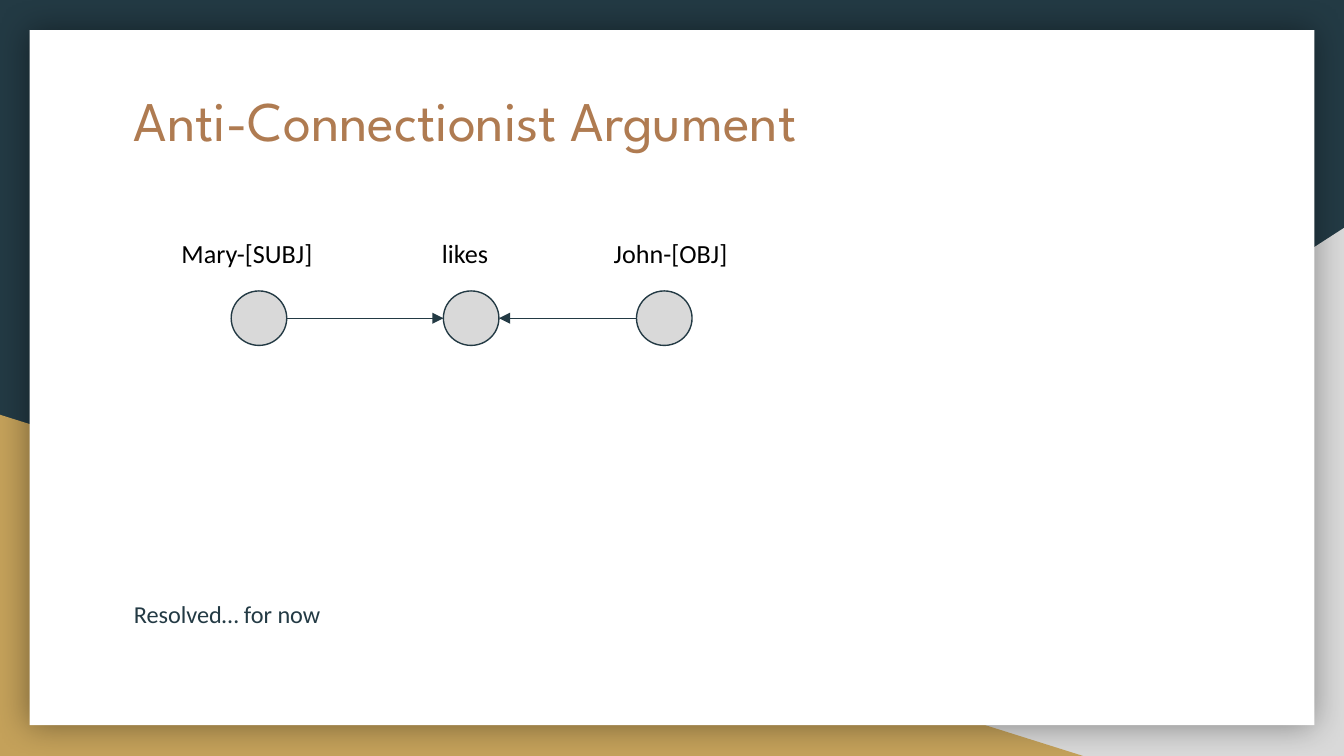
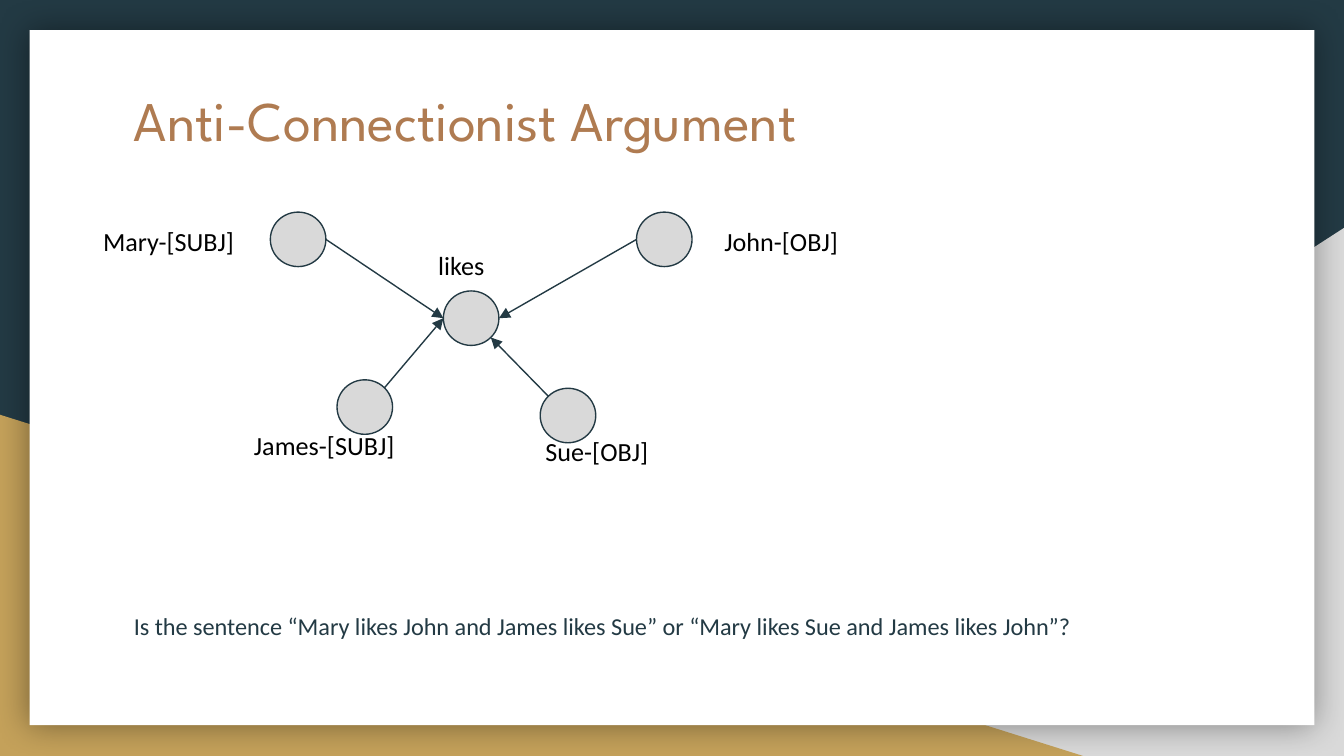
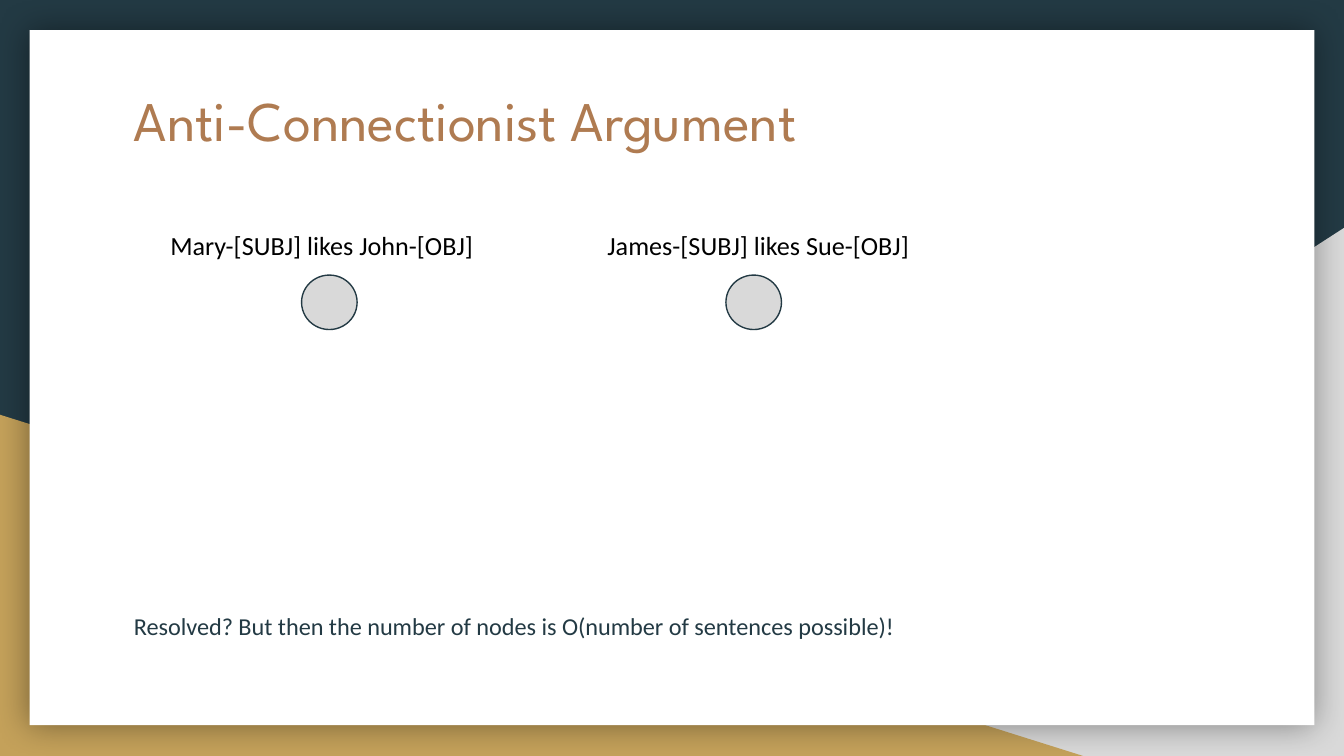
"""Build three slides on the anti-connectionist argument."""
import math

import lxml.etree
import pptx
import pptx.dml.color
import pptx.enum.shapes
import pptx.oxml.ns
import pptx.util

Cm = pptx.util.Cm
Pt = pptx.util.Pt
SHAPE = pptx.enum.shapes.MSO_SHAPE
qn = pptx.oxml.ns.qn

COLORS = {
    "navy": "233A44",
    "gold": "C4A15A",
    "gray": "D9D9D9",
    "white": "FFFFFF",
    "copper": "AF7B51",
    "black": "000000",
}
TITLE = "Anti-Connectionist Argument"
TITLE_FONT, BODY_FONT = "League Spartan", "Calibri"
MARGIN, TEXT_WIDTH = 2.28, 20.85
NODE_WIDTH, NODE_HEIGHT = 1.05, 1.03
LABEL_HEIGHT = 1.02
# Connection sites of an ellipse, counted anticlockwise from the top
TOP_LEFT, LEFT, BOTTOM_RIGHT, RIGHT, TOP_RIGHT = 1, 2, 5, 6, 7


def color(name):
    """Return a named colour as RGB."""
    return pptx.dml.color.RGBColor.from_string(COLORS[name])


def add_filled(page, kind, left, top, width, height, fill):
    """Add a flat preset shape without outline."""
    shape = page.shapes.add_shape(kind, Cm(left), Cm(top), Cm(width), Cm(height))
    shape.shadow.inherit = False
    shape.fill.solid()
    shape.fill.fore_color.rgb = color(fill)
    shape.line.fill.background()
    return shape


def add_glow(shape):
    """Give a shape a soft black shadow on all sides."""
    effects = shape.element.spPr.find(qn("a:effectLst"))
    shadow = lxml.etree.SubElement(effects, qn("a:outerShdw"), blurRad=str(Pt(18)),
                                   dist="0", dir="0", algn="ctr", rotWithShape="0")
    black = lxml.etree.SubElement(shadow, qn("a:srgbClr"), val=COLORS["black"])
    lxml.etree.SubElement(black, qn("a:alpha"), val="40000")


def add_text(page, text, left, top, width, height, font, size, ink):
    """Add a one-paragraph text box and return its paragraph."""
    box = page.shapes.add_textbox(Cm(left), Cm(top), Cm(width), Cm(height))
    frame = box.text_frame
    frame.word_wrap = True
    frame.margin_left = frame.margin_right = Cm(0.25)
    frame.margin_top = frame.margin_bottom = Cm(0.25)
    para = frame.paragraphs[0]
    para.text = text
    para.font.name = font
    para.font.size = Pt(size)
    para.font.color.rgb = color(ink)
    return para


def add_page(deck, remark, remark_top):
    """Add a slide with the shared backdrop, title and a closing remark."""
    page = deck.slides.add_slide(deck.slide_layouts[6])
    corner = add_filled(page, SHAPE.RIGHT_TRIANGLE, 9.96, 4.31, 15.44, 9.98, "gray")
    corner.element.spPr.xfrm.set("flipH", "1")
    add_filled(page, SHAPE.RIGHT_TRIANGLE, 0, 7.84, 20.47, 6.45, "gold")
    add_glow(add_filled(page, SHAPE.RECTANGLE, 0.56, 0.57, 24.28, 13.14, "white"))
    add_text(page, TITLE, MARGIN, 1.37, TEXT_WIDTH, 2.64, TITLE_FONT, 30, "copper")
    para = add_text(page, remark, MARGIN, remark_top, TEXT_WIDTH, 1.32, BODY_FONT, 13, "navy")
    para.line_spacing = 1.15
    para.space_after = Pt(16)
    return page


def add_node(page, left, top):
    """Add a network node."""
    node = add_filled(page, SHAPE.OVAL, left, top, NODE_WIDTH, NODE_HEIGHT, "gray")
    node.line.color.rgb = color("navy")
    node.line.width = Pt(0.75)
    return node


def add_label(page, text, left, top, width):
    """Add the label of a node."""
    add_text(page, text, left, top, width, LABEL_HEIGHT, BODY_FONT, 14, "black")


def site_point(node, site):
    """Return the position of a connection site on a node."""
    angle = math.radians(45 * site)
    x = node.left + node.width / 2 * (1 - math.sin(angle))
    y = node.top + node.height / 2 * (1 - math.cos(angle))
    return round(x), round(y)


def add_arrow(page, source, source_site, target, target_site):
    """Join two nodes with an arrow glued to their connection sites."""
    arrow = page.shapes.add_connector(
        pptx.enum.shapes.MSO_CONNECTOR.STRAIGHT,
        *site_point(source, source_site), *site_point(target, target_site))
    arrow.line.color.rgb = color("navy")
    arrow.line.width = Pt(0.75)
    lxml.etree.SubElement(arrow.line._get_or_add_ln(), qn("a:tailEnd"), type="triangle")
    lxml.etree.SubElement(arrow.element.spPr, qn("a:effectLst"))
    joints = arrow.element.find(qn("p:nvCxnSpPr")).find(qn("p:cNvCxnSpPr"))
    for tag, node, site in (("a:stCxn", source, source_site), ("a:endCxn", target, target_site)):
        lxml.etree.SubElement(joints, qn(tag), id=str(node.shape_id), idx=str(site))


def build_single_sentence(deck):
    """Show one sentence as three nodes in a row."""
    page = add_page(deck, "Resolved… for now", 11)
    mary, likes, john = [add_node(page, left, 5.5) for left in (4.37, 8.38, 12.03)]
    add_arrow(page, mary, RIGHT, likes, LEFT)
    add_arrow(page, john, LEFT, likes, RIGHT)
    for text, left, width in (("Mary-[SUBJ]", 3.18, 3.15), ("John-[OBJ]", 11.35, 2.84),
                              ("likes", 8.1, 1.6)):
        add_label(page, text, left, 4.24, width)


def build_two_sentences(deck):
    """Show two sentences sharing one verb node."""
    page = add_page(deck, "Is the sentence “Mary likes John and James likes Sue” or "
                          "“Mary likes Sue and James likes John”?", 11.23)
    likes = add_node(page, 8.38, 5.5)
    add_label(page, "likes", 8.03, 4.47, 1.6)
    people = (
        ("Mary-[SUBJ]", (5.11, 4.01), (1.7, 4.01, 3.28), RIGHT, LEFT),
        ("John-[OBJ]", (12.03, 4.01), (13.44, 4.01, 3.02), LEFT, RIGHT),
        ("James-[SUBJ]", (6.37, 7.18), (4.55, 7.87, 3.2), TOP_RIGHT, LEFT),
        ("Sue-[OBJ]", (10.21, 7.34), (10.06, 7.98, 2.62), TOP_LEFT, BOTTOM_RIGHT),
    )
    for text, place, label_place, person_site, likes_site in people:
        person = add_node(page, *place)
        add_arrow(page, person, person_site, likes, likes_site)
        add_label(page, text, *label_place)


def build_sentence_nodes(deck):
    """Show each whole sentence as one node."""
    page = add_page(deck, "Resolved? But then the number of nodes is "
                          "O(number of sentences possible)!", 11.23)
    for text, node_left, left, width in (
            ("Mary-[SUBJ] likes John-[OBJ]", 5.7, 2.97, 6.93),
            ("James-[SUBJ] likes Sue-[OBJ]", 13.72, 11.23, 7.32)):
        add_node(page, node_left, 5.2)
        add_label(page, text, left, 4.09, width)


def main():
    """Build and save the deck."""
    deck = pptx.Presentation()
    deck.slide_width, deck.slide_height = Cm(25.4), Cm(14.29)
    backdrop = deck.slide_master.background.fill
    backdrop.solid()
    backdrop.fore_color.rgb = color("navy")
    build_single_sentence(deck)
    build_two_sentences(deck)
    build_sentence_nodes(deck)
    deck.save("out.pptx")


if __name__ == "__main__":
    main()
